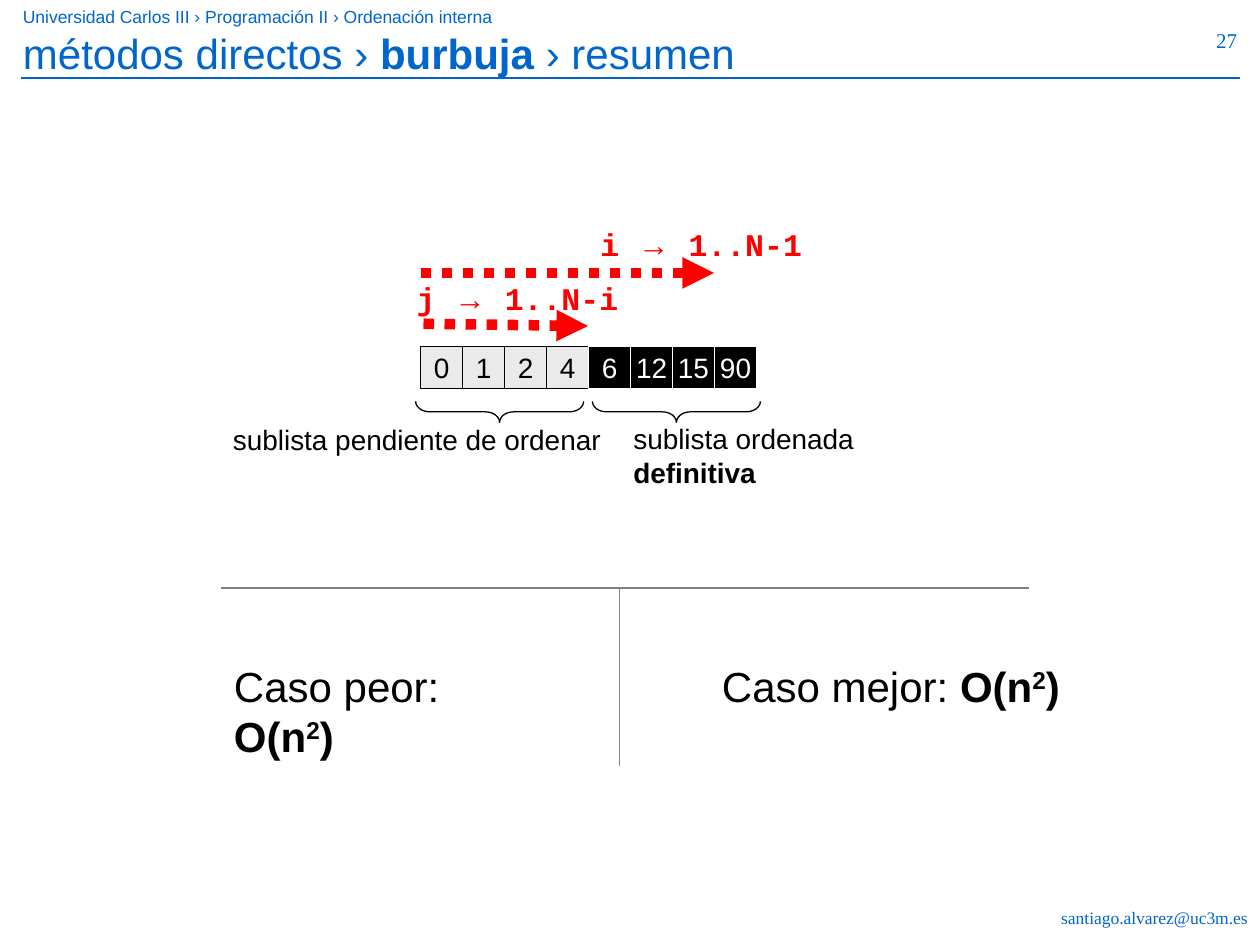
from dataclasses import dataclass
from typing import Optional

import pptx
import pptx.dml.color
import pptx.enum.dml
import pptx.enum.shapes
import pptx.enum.text
import pptx.oxml.ns
import pptx.util
from lxml import etree

Pt = pptx.util.Pt
Align = pptx.enum.text.PP_ALIGN
Anchor = pptx.enum.text.MSO_ANCHOR
Preset = pptx.enum.shapes.MSO_SHAPE


@dataclass(frozen=True)
class Theme:
    accent: str = "0066CC"
    ink: str = "000000"
    paper: str = "FFFFFF"
    pending: str = "EAEAEA"
    divider: str = "808080"
    loop: str = "FF0000"
    sans: str = "Arial"
    serif: str = "Times New Roman"
    mono: str = "Courier New"
    small: float = 10
    number: float = 12
    body: float = 16
    code: float = 18
    title: float = 24
    thin: float = 0.75
    thick: float = 6


THEME = Theme()


@dataclass(frozen=True)
class Run:
    text: str
    bold: Optional[bool] = None
    font: Optional[str] = None
    superscript: bool = False


@dataclass(frozen=True)
class Label:
    left: float
    top: float
    width: float
    height: float
    runs: tuple[Run, ...]
    size: float
    color: str = THEME.ink
    font: Optional[str] = THEME.sans
    bold: Optional[bool] = None
    align: Align = Align.LEFT
    wrap: bool = False


@dataclass(frozen=True)
class Line:
    start: tuple[float, float]
    end: tuple[float, float]
    color: str
    arrow: bool = False


def rgb(color: str) -> pptx.dml.color.RGBColor:
    return pptx.dml.color.RGBColor.from_string(color)


def write(frame, label: Label) -> None:
    """Fill a text frame, putting only what differs between runs on the runs."""
    frame.word_wrap = label.wrap
    paragraph = frame.paragraphs[0]
    paragraph.alignment = label.align
    paragraph.font.size = Pt(label.size)
    paragraph.font.color.rgb = rgb(label.color)
    if label.font:
        paragraph.font.name = label.font
    if label.bold is not None:
        paragraph.font.bold = label.bold
    for part in label.runs:
        run = paragraph.add_run()
        run.text = part.text
        if part.bold is not None:
            run.font.bold = part.bold
        if part.font:
            run.font.name = part.font
        if part.superscript:
            run._r.get_or_add_rPr().set("baseline", "30000")


def draw_label(slide, label: Label) -> None:
    box = slide.shapes.add_textbox(
        Pt(label.left), Pt(label.top), Pt(label.width), Pt(label.height))
    write(box.text_frame, label)
    if not label.wrap:
        box.text_frame.auto_size = pptx.enum.text.MSO_AUTO_SIZE.SHAPE_TO_FIT_TEXT


def draw_line(slide, line: Line) -> None:
    connector = slide.shapes.add_connector(
        pptx.enum.shapes.MSO_CONNECTOR.STRAIGHT, *map(Pt, line.start + line.end))
    connector.line.color.rgb = rgb(line.color)
    connector.line.width = Pt(THEME.thick if line.arrow else THEME.thin)
    qn = pptx.oxml.ns.qn
    if line.arrow:
        connector.line.dash_style = pptx.enum.dml.MSO_LINE.ROUND_DOT
        etree.SubElement(connector.line._get_or_add_ln(), qn("a:tailEnd"), type="triangle")
    etree.SubElement(connector._element.spPr, qn("a:effectLst"))


def draw_cell(slide, left: float, top: float, side: float, value: int, is_sorted: bool) -> None:
    cell = slide.shapes.add_shape(Preset.RECTANGLE, Pt(left), Pt(top), Pt(side), Pt(side))
    cell.shadow.inherit = False
    cell.fill.solid()
    cell.fill.fore_color.rgb = rgb(THEME.ink if is_sorted else THEME.pending)
    cell.line.color.rgb = rgb(THEME.paper if is_sorted else THEME.ink)
    cell.line.width = Pt(THEME.thin)
    cell.text_frame.vertical_anchor = Anchor.MIDDLE
    write(cell.text_frame, Label(
        left, top, side, side, (Run(str(value)),), THEME.body,
        THEME.paper if is_sorted else THEME.ink, align=Align.CENTER))


def draw_brace(slide, center_x: float, center_y: float, span: float, depth: float) -> None:
    """Draw a brace that opens upwards and points down."""
    brace = slide.shapes.add_shape(
        Preset.LEFT_BRACE, Pt(center_x - depth / 2), Pt(center_y - span / 2),
        Pt(depth), Pt(span))
    brace.rotation = 270
    brace.adjustments[0] = 0.67
    brace.shadow.inherit = False
    brace.fill.background()
    brace.line.color.rgb = rgb(THEME.ink)
    brace.line.width = Pt(THEME.thin)


def cost(case: str) -> tuple[Run, ...]:
    return (Run(f"Caso {case}: "), Run("O(n", True),
            Run("2", True, superscript=True), Run(")", True))


def loop_range(variable: str, limit: str) -> tuple[Run, ...]:
    return (Run(f"{variable} ", font=THEME.mono), Run("→", font=THEME.sans),
            Run(f" 1..{limit}", font=THEME.mono))


VALUES = (0, 1, 2, 4, 6, 12, 15, 90)
PENDING_COUNT = 4
CELL_SIDE = 24
ROW_LEFT, ROW_TOP = 240.3, 198
BRACE_CENTERS = (285.5, 386.5)

LINES = (
    Line((12, 44.6), (708.5, 44.6), THEME.accent),
    Line((126, 336), (588, 336), THEME.divider),
    Line((354, 336), (354, 438), THEME.divider),
    Line((ROW_LEFT, 156), (408, 156), THEME.loop, arrow=True),
    Line((242, 185), (336, 186.3), THEME.loop, arrow=True),
)

LABELS = (
    Label(6, 0, 420, 19.5,
          (Run("Universidad Carlos III › Programación II › Ordenación interna"),),
          THEME.small, THEME.accent, wrap=True),
    Label(6, 12.3, 624, 44.6,
          (Run("métodos directos › "), Run("burbuja ", True), Run("› resumen")),
          THEME.title, THEME.accent, wrap=True),
    Label(126.6, 373.7, 195, 36, cost("peor"), THEME.title),
    Label(405.5, 373.7, 207.5, 36, cost("mejor"), THEME.title),
    Label(336, 125.3, 129.6, 29, loop_range("i", "N-1"),
          THEME.code, THEME.loop, font=None, bold=True),
    Label(231, 156, 129.6, 29, loop_range("j", "N-i"),
          THEME.code, THEME.loop, font=None, bold=True),
    Label(354.8, 237.5, 214.5, 26.6,
          (Run("sublista ordenada "), Run("definitiva", True)), THEME.body),
    Label(126, 237.8, 224.6, 26.6, (Run("sublista pendiente de ordenar"),), THEME.body),
    Label(492, 515, 228, 19.5, (Run("santiago.alvarez@uc3m.es"),),
          THEME.small, THEME.accent, THEME.serif, align=Align.RIGHT, wrap=True),
    Label(666, 12.3, 48, 37.5, (Run("27"),),
          THEME.number, THEME.accent, THEME.serif, align=Align.RIGHT, wrap=True),
)


def main() -> None:
    deck = pptx.Presentation()
    deck.slide_width, deck.slide_height = Pt(720), Pt(540)
    slide = deck.slides.add_slide(deck.slide_layouts[6])
    for index, value in enumerate(VALUES):
        draw_cell(slide, ROW_LEFT + index * CELL_SIDE, ROW_TOP, CELL_SIDE,
                  value, index >= PENDING_COUNT)
    for line in LINES:
        draw_line(slide, line)
    for center_x in BRACE_CENTERS:
        draw_brace(slide, center_x, 235.3, 96, 12)
    for label in LABELS:
        draw_label(slide, label)
    deck.save("out.pptx")


if __name__ == "__main__":
    main()
